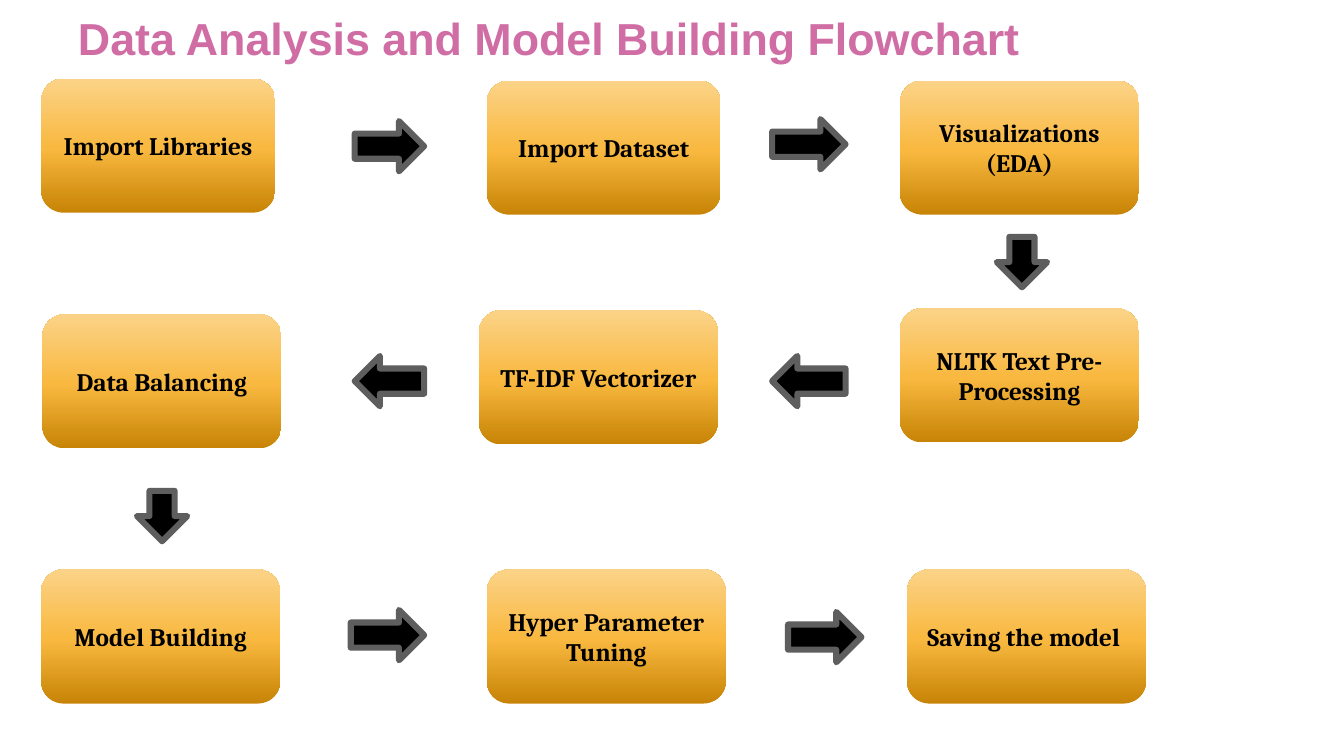
from copy import deepcopy
from dataclasses import dataclass

from pptx import Presentation
from pptx import util as u
from pptx.dml.color import RGBColor
from pptx.enum import shapes, text
from pptx.oxml.ns import qn

GOLD = [(0, "C78406"), (0.48, "F9B83F"), (1, "FBD388")]
PINK = [(0, "772754"), (0.5, "CF6DA4"), (1, "E2A7C8")]
KIND = shapes.MSO_SHAPE
RIGHT, LEFT, DOWN = KIND.RIGHT_ARROW, KIND.LEFT_ARROW, KIND.DOWN_ARROW
HIGH = 3.38
THIN = 1.27


@dataclass
class Step:
    label: str
    x: float
    y: float
    w: float = 6.02


@dataclass
class Arrow:
    kind: KIND
    x: float
    y: float
    w: float = 1.85


STEPS = [
    Step("Import Libraries", 1.04, 1.98, 5.89),
    Step("Import Dataset", 12.27, 2.03, 5.89),
    Step("Visualizations\n(EDA)", 22.68, 2.03),
    Step("NLTK Text Pre-Processing", 22.68, 7.77),
    Step("TF-IDF Vectorizer", 12.07, 7.82),
    Step("Data Balancing", 1.07, 7.92),
    Step("Model Building", 1.04, 14.35),
    Step("Hyper Parameter Tuning", 12.27, 14.35),
    Step("Saving the model ", 22.86, 14.35),
]
ARROWS = [
    Arrow(RIGHT, 8.94, 3.05, 1.75),
    Arrow(RIGHT, 19.46, 3.0),
    Arrow(DOWN, 25.12, 5.97, THIN),
    Arrow(LEFT, 19.46, 8.97),
    Arrow(LEFT, 8.94, 8.97, 1.75),
    Arrow(DOWN, 3.45, 12.37, THIN),
    Arrow(RIGHT, 8.84, 15.37),
    Arrow(RIGHT, 19.86, 15.42),
]


def color(code: str) -> RGBColor:
    return RGBColor.from_string(code)


def adjust(item, values: dict) -> None:
    """Set each named attribute of item."""
    for name, value in values.items():
        setattr(item, name, value)


def blend(fill, node, stops: list, angle: float) -> None:
    """Give fill, which lies inside node, a linear gradient of three stops."""
    fill.gradient()
    fill.gradient_angle = angle
    group = node.find(".//" + qn("a:gsLst"))
    group.append(deepcopy(group[-1]))
    for stop, (place, code) in zip(fill.gradient_stops, stops):
        stop.position = place
        stop.color.rgb = color(code)


def add_shape(slide, kind: KIND, x: float, y: float, w: float, h: float):
    shape = slide.shapes.add_shape(kind, u.Cm(x), u.Cm(y), u.Cm(w), u.Cm(h))
    shape.shadow.inherit = False
    return shape


def add_step(slide, step: Step) -> None:
    box = add_shape(slide, KIND.FLOWCHART_ALTERNATE_PROCESS,
                    step.x, step.y, step.w, HIGH)
    blend(box.fill, box._element, GOLD, 90)
    box.line.fill.background()
    frame = box.text_frame
    adjust(frame, {"text": step.label, "word_wrap": True,
                   "vertical_anchor": text.MSO_ANCHOR.MIDDLE})
    for para in frame.paragraphs:
        para.alignment = text.PP_ALIGN.CENTER
        font = para.runs[0].font
        adjust(font, {"name": "Cambria", "size": u.Pt(18), "bold": True})
        font.color.rgb = color("000000")


def add_arrow(slide, arrow: Arrow) -> None:
    shape = add_shape(slide, arrow.kind, arrow.x, arrow.y, arrow.w, THIN)
    shape.fill.solid()
    shape.fill.fore_color.rgb = color("000000")
    shape.line.color.rgb = color("5E5E5E")
    shape.line.width = u.Pt(4.33)


def set_title(slide) -> None:
    title = slide.shapes.title
    adjust(title, {"left": u.Cm(0), "top": u.Cm(0.13),
                   "width": u.Cm(27.69), "height": u.Cm(2.39)})
    frame = title.text_frame
    adjust(frame, {"text": "Data Analysis and Model Building Flowchart",
                   "word_wrap": True,
                   "vertical_anchor": text.MSO_ANCHOR.TOP,
                   "auto_size": text.MSO_AUTO_SIZE.SHAPE_TO_FIT_TEXT})
    para = frame.paragraphs[0]
    para.alignment = text.PP_ALIGN.CENTER
    run = para.runs[0]
    adjust(run.font, {"name": "Arial", "size": u.Pt(32), "bold": True})
    blend(run.font.fill, run._r, PINK, 270)


def main() -> None:
    deck = Presentation()
    adjust(deck, {"slide_width": u.Cm(33.87), "slide_height": u.Cm(19.05)})
    slide = deck.slides.add_slide(deck.slide_layouts[5])
    set_title(slide)
    for step in STEPS:
        add_step(slide, step)
    for arrow in ARROWS:
        add_arrow(slide, arrow)
    deck.save("out.pptx")


if __name__ == "__main__":
    main()
